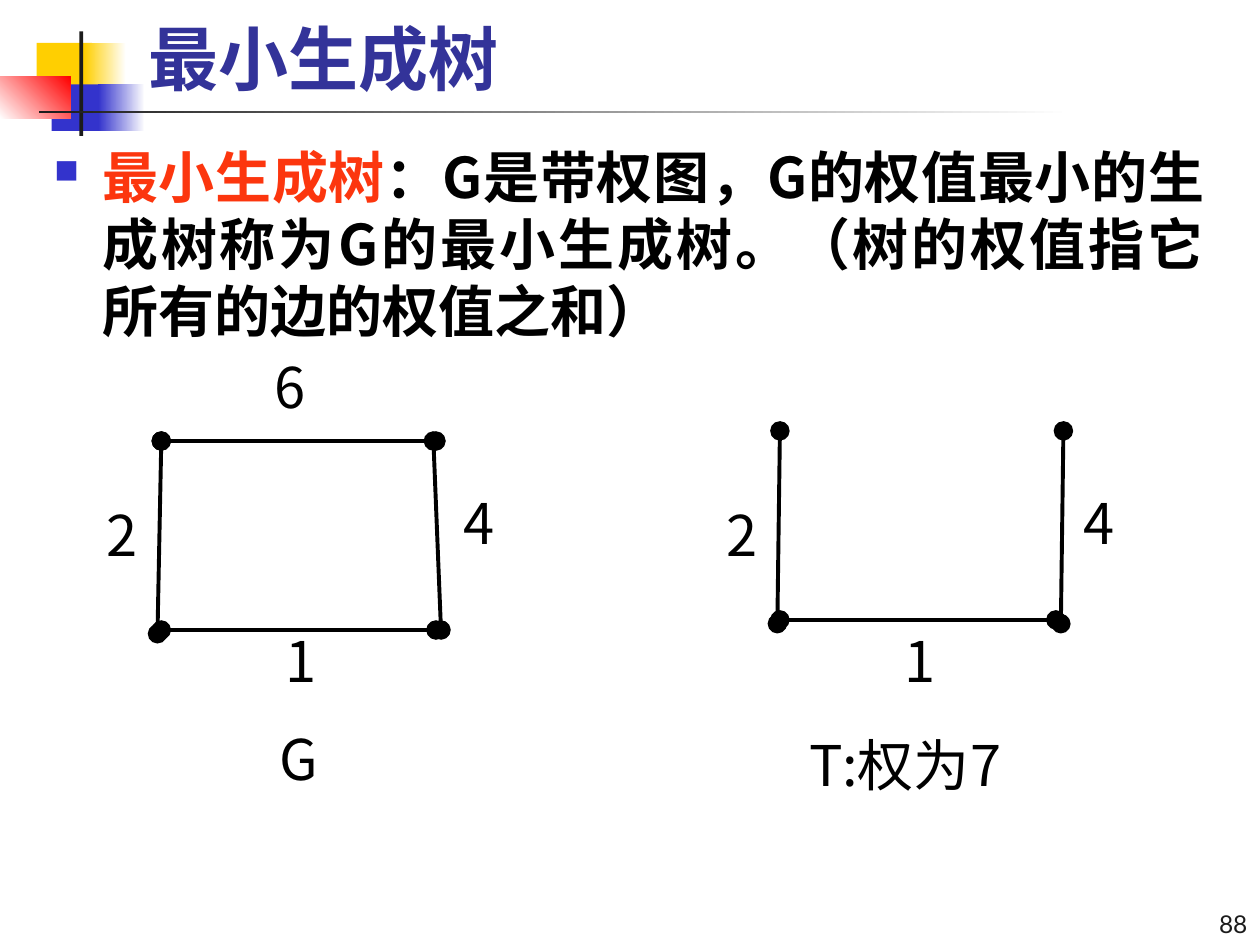
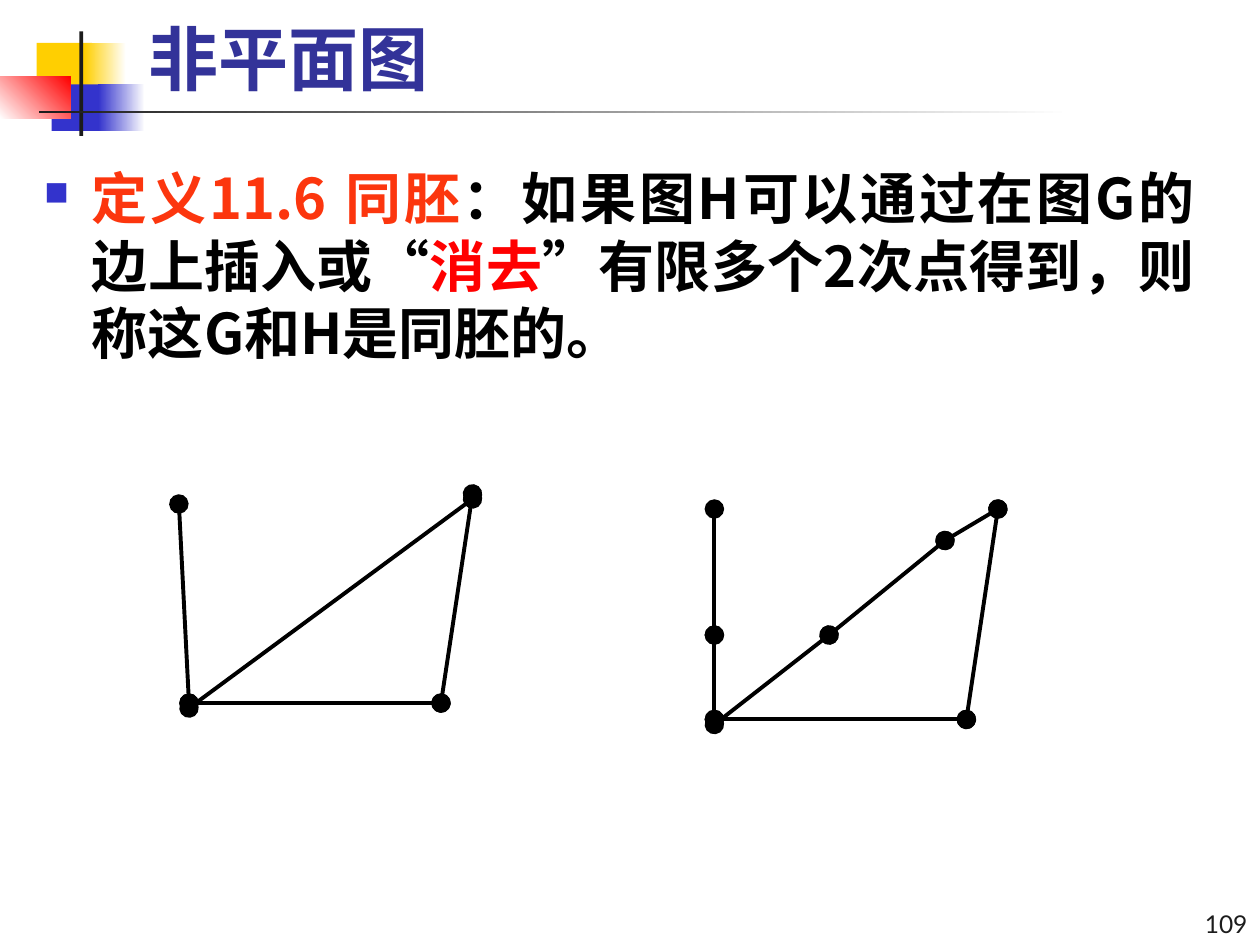
from lxml import etree
from pptx import Presentation
from pptx.dml.color import RGBColor
from pptx.enum.lang import MSO_LANGUAGE_ID as LANG
from pptx.enum.shapes import MSO_CONNECTOR, MSO_SHAPE
from pptx.enum.text import MSO_ANCHOR as ANCHOR, MSO_AUTO_SIZE as FIT, PP_ALIGN as ALIGN
from pptx.oxml.ns import qn
from pptx.util import Inches, Pt

COLORS = {
    "yellow": "FFCF01", "blue": "3333CC", "red": "FF0000", "white": "FFFFFF",
    "dark": "1C1C1C", "title": "333399", "term": "FC360E", "black": "000000",
}
CJK, NUMBER_FONT, QUOTE_FONT = "Noto Sans CJK SC", "Lato", "Times New Roman"

# left, top, width, height, fill colours (two make a gradient), angle
BAND = [
    (0.29, 0.34, 0.44, 0.38, ["yellow"], 0),
    (0.67, 0.34, 0.33, 0.38, ["yellow", "white"], 0),
    (0.41, 0.67, 0.42, 0.37, ["blue"], 0),
    (0.78, 0.67, 0.37, 0.37, ["blue", "white"], 0),
    (0, 0.61, 0.56, 0.33, ["white", "red"], 45),
    (0.63, 0.25, 0.03, 0.83, ["dark"], 0),
    (0.31, 0.88, 8.19, 0.02, ["dark", "white"], 0),
]

# Body runs: (text, colour, font). Edges: (x1, y1, x2, y2).
# Labels: (text, left, top, width).
SLIDES = [
    {
        "title": "最小生成树",
        "number": "88",
        "body_at": (0.33, 1.08),
        "body": [
            ("最小生成树", "term", CJK),
            ("：G是带权图，G的权值最小的生成树称为G的最小生成树。（树的权值指它所有的边的权值之和）",
             "black", CJK),
        ],
        "edges": [
            (1.25, 5.03, 1.28, 3.5), (3.46, 5, 1.28, 5),
            (3.46, 3.5, 1.28, 3.5), (3.5, 5, 3.44, 3.5),
            (6.17, 4.95, 6.19, 3.42), (8.38, 4.92, 6.19, 4.92),
            (8.42, 4.95, 8.44, 3.42),
        ],
        "labels": [
            ("6", 2.08, 2.75, 0.42), ("2", 0.75, 3.92, 0.42),
            ("4", 3.58, 3.83, 0.42), ("1", 2.17, 4.92, 0.42),
            ("2", 5.67, 3.92, 0.42), ("4", 8.5, 3.83, 0.42),
            ("1", 7.08, 4.92, 0.42), ("G", 2.12, 5.7, 0.42),
            ("T:权为7", 6.33, 5.75, 2.33),
        ],
    },
    {
        "title": "非平面图",
        "number": "109",
        "body_at": (0.25, 1.25),
        "body": [
            ("定义11.6 同胚", "term", CJK),
            ("：如果图H可以通过在图G的边上插入或", "black", CJK),
            ("“", "black", QUOTE_FONT),
            ("消去", "red", CJK),
            ("”", "black", QUOTE_FONT),
            ("有限多个2次点得到，则称这G和H是同胚的。", "black", CJK),
        ],
        "edges": [
            (1.42, 4, 1.5, 5.58), (3.75, 3.92, 3.5, 5.58),
            (1.5, 5.58, 3.5, 5.58), (1.5, 5.62, 3.75, 3.96),
            (5.67, 5.04, 5.67, 5.71), (7.92, 4.04, 7.67, 5.71),
            (5.67, 5.71, 7.67, 5.71), (5.67, 5.75, 6.58, 5.04),
            (5.67, 4.04, 5.67, 5.04), (6.58, 5.04, 7.5, 4.29),
            (7.5, 4.29, 7.92, 4.04),
        ],
        "labels": [],
    },
]


def rgb(name):
    return RGBColor.from_string(COLORS[name])


def place(sp, left, top, width, height):
    sp.left, sp.top, sp.width, sp.height = map(Inches, (left, top, width, height))


def add_run(p, text, size=32, color="black", font=CJK, bold=False):
    r = p.add_run()
    r.text = text
    f = r.font
    f.size, f.bold, f.name = Pt(size), bold, font
    f.color.rgb = rgb(color)
    f.language_id = LANG.SIMPLIFIED_CHINESE
    latin = f._element.find(qn("a:latin"))
    ea = etree.Element(qn("a:ea"), typeface=CJK)
    latin.addnext(ea)


def set_frame(sp, anchor=ANCHOR.TOP, align=ALIGN.LEFT, wrap=True, fit=FIT.NONE):
    """Format the shape's text frame and return its first paragraph."""
    tf = sp.text_frame
    tf.word_wrap, tf.auto_size, tf.vertical_anchor = wrap, fit, anchor
    p = tf.paragraphs[0]
    p.alignment = align
    p.space_before = Pt(0)
    return p


def add_bullet(p):
    pPr = p._p.get_or_add_pPr()
    pPr.set("marL", str(Inches(0.38)))
    pPr.set("indent", str(-Inches(0.38)))
    color = etree.SubElement(pPr, qn("a:buClr"))
    etree.SubElement(color, qn("a:srgbClr"), val=COLORS["blue"])
    etree.SubElement(pPr, qn("a:buSzPct"), val="60000")
    etree.SubElement(pPr, qn("a:buFont"), typeface="Wingdings")
    etree.SubElement(pPr, qn("a:buChar"), char="n")


def move_band_to_layout(slide, layout):
    """Draw the title band on the slide, then hand it to the shared layout."""
    for left, top, width, height, fills, angle in BAND:
        sp = slide.shapes.add_shape(
            MSO_SHAPE.RECTANGLE, *map(Inches, (left, top, width, height)))
        sp.shadow.inherit = False
        sp.line.fill.background()
        if len(fills) == 1:
            sp.fill.solid()
            sp.fill.fore_color.rgb = rgb(fills[0])
        else:
            sp.fill.gradient()
            sp.fill.gradient_angle = angle
            for stop, name in zip(sp.fill.gradient_stops, fills):
                stop.color.rgb = rgb(name)
        layout.shapes.element.append(sp.element)


def add_edge(slide, x1, y1, x2, y2):
    """Draw a graph edge with a round vertex at each end."""
    edge = slide.shapes.add_connector(
        MSO_CONNECTOR.STRAIGHT, *map(Inches, (x1, y1, x2, y2)))
    edge.line.color.rgb = rgb("black")
    edge.line.width = Pt(2.25)
    ln = edge.line._get_or_add_ln()
    for end in ("a:headEnd", "a:tailEnd"):
        etree.SubElement(ln, qn(end), type="oval", w="lg", len="lg")
    etree.SubElement(edge.element.spPr, qn("a:effectLst"))


def add_label(slide, text, left, top, width):
    sp = slide.shapes.add_textbox(*map(Inches, (left, top, width, 0.63)))
    p = set_frame(sp, wrap=width > 1, fit=FIT.SHAPE_TO_FIT_TEXT)
    add_run(p, text)


def add_page_number(slide, number):
    sp = slide.shapes.add_textbox(*map(Inches, (8.67, 7.08, 1.33, 0.42)))
    p = set_frame(sp, anchor=ANCHOR.BOTTOM, align=ALIGN.RIGHT)
    add_run(p, number, size=14, color="dark", font=NUMBER_FONT)


def build_slide(slide, content):
    title, body = slide.placeholders
    place(title, 1.08, 0.17, 8.42, 0.67)
    add_run(set_frame(title, anchor=ANCHOR.BOTTOM), content["title"],
            size=40, color="title", bold=True)

    place(body, *content["body_at"], 9.33, 1.7)
    p = set_frame(body, align=ALIGN.JUSTIFY)
    add_bullet(p)
    for text, color, font in content["body"]:
        add_run(p, text, color=color, font=font, bold=True)

    for edge in content["edges"]:
        add_edge(slide, *edge)
    for label in content["labels"]:
        add_label(slide, *label)
    add_page_number(slide, content["number"])


def main():
    prs = Presentation()
    prs.slide_width, prs.slide_height = Inches(10), Inches(7.5)
    layout = prs.slide_layouts[1]
    slides = [prs.slides.add_slide(layout) for _ in SLIDES]
    move_band_to_layout(slides[0], layout)
    for slide, content in zip(slides, SLIDES):
        build_slide(slide, content)
    prs.save("out.pptx")


if __name__ == "__main__":
    main()
